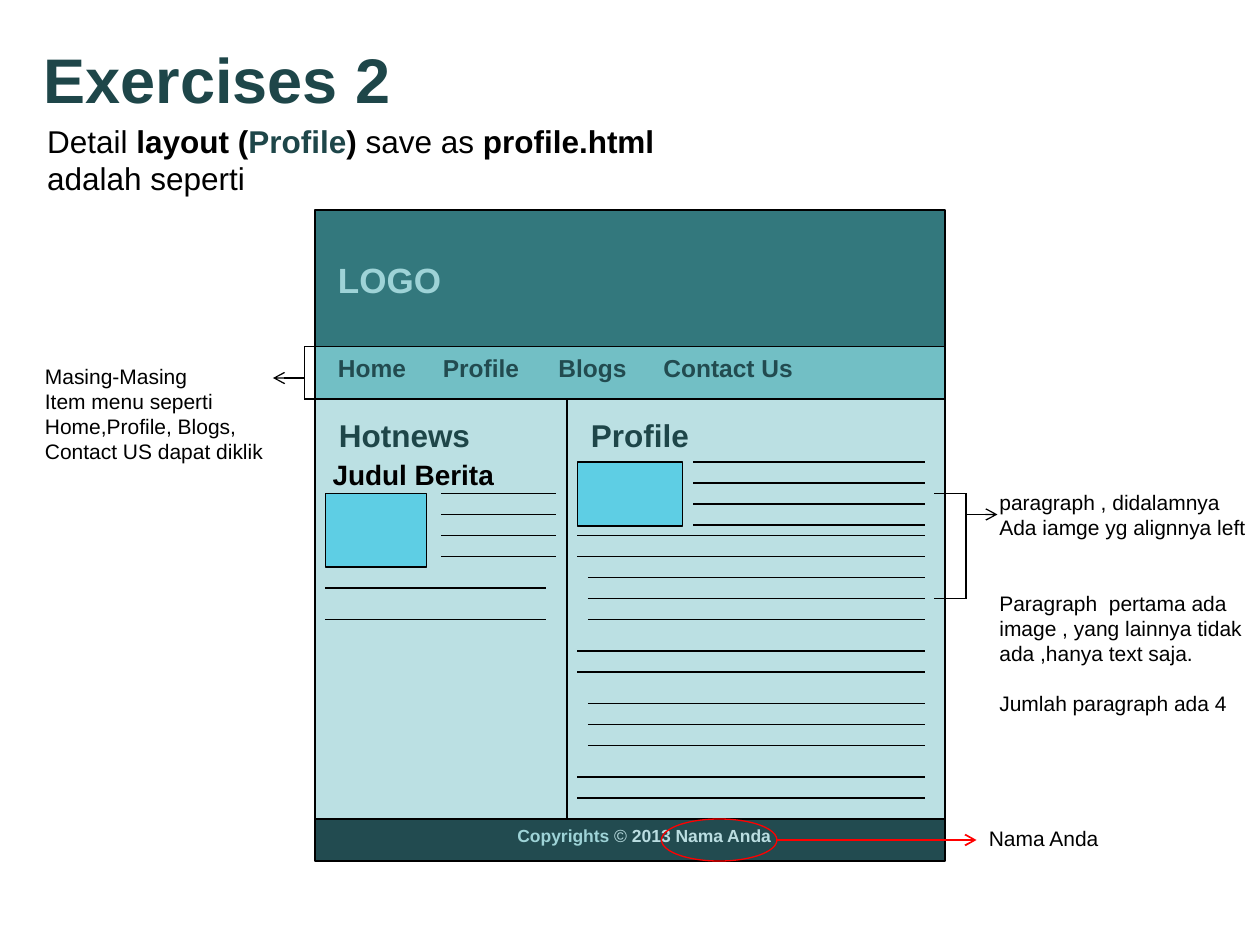
from dataclasses import dataclass

from lxml.etree import SubElement
from pptx import Presentation
from pptx.dml.color import RGBColor
from pptx.enum.shapes import MSO_CONNECTOR, MSO_SHAPE
from pptx.enum.text import MSO_ANCHOR
from pptx.oxml.ns import qn
from pptx.util import Pt

SCALE = 7620


@dataclass(frozen=True)
class Theme:
    """Colours, type sizes and line values of the slide."""
    font: str = "Arial"
    ink: str = "000000"
    title: str = "1E4649"
    dark: str = "224B50"
    head: str = "33787D"
    menu: str = "72BFC5"
    panel: str = "BBE0E3"
    photo: str = "5ECEE4"
    pale: str = "9ED3D7"
    light: str = "BADDE1"
    alert: str = "FF0000"
    huge: int = 36
    logo: int = 20
    large: int = 18
    story: int = 16
    link: int = 14
    note: int = 12
    small: int = 10
    pen: float = 0.75


THEME = Theme()


def px(*vals):
    """Turn pixel lengths into EMU."""
    return [val * SCALE for val in vals]


def shape(slide, box, fill=None, line=THEME.ink, kind=MSO_SHAPE.RECTANGLE):
    """Add an outlined preset shape, filled if a colour is given."""
    item = slide.shapes.add_shape(kind, *px(*box))
    item.shadow.inherit = False
    if fill:
        item.fill.solid()
        item.fill.fore_color.rgb = RGBColor.from_string(fill)
    else:
        item.fill.background()
    item.line.color.rgb = RGBColor.from_string(line)
    item.line.width = Pt(THEME.pen)


def rule(slide, start, end, color=THEME.ink, width=THEME.pen, arrow=False):
    """Add a straight line, with an arrowhead at its end on request."""
    item = slide.shapes.add_connector(MSO_CONNECTOR.STRAIGHT, *px(*start, *end))
    item.line.color.rgb = RGBColor.from_string(color)
    item.line.width = Pt(width)
    props = item._element.spPr
    if arrow:
        SubElement(props.find(qn("a:ln")), qn("a:tailEnd"), type="arrow")
    SubElement(props, qn("a:effectLst"))


def text(slide, box, paras, size, color=THEME.ink, bold=False, wrap=False,
         anchor=MSO_ANCHOR.TOP, gaps=None):
    """Add a text box; a paragraph is a string or a list of (words, look)."""
    frame = slide.shapes.add_textbox(*px(*box)).text_frame
    frame.word_wrap = wrap
    frame.vertical_anchor = anchor
    for num, runs in enumerate(paras):
        para = frame.add_paragraph() if num else frame.paragraphs[0]
        para.space_before = Pt((gaps or {}).get(num, 0))
        for words, look in [(runs, {})] if isinstance(runs, str) else runs:
            look = {"color": color, "bold": bold} | look
            run = para.add_run()
            run.text = words
            run.font.color.rgb = RGBColor.from_string(look.pop("color"))
            form = {"name": THEME.font, "size": Pt(size)} | look
            for key, val in form.items():
                setattr(run.font, key, val)


def rows(slide, left, top, spans):
    """Draw lines of mock text from (start, end, heights) spans."""
    for start, end, ys in spans:
        for y in ys:
            rule(slide, (left + start, top + y), (left + end, top + y))


def intro(slide, box):
    """Place the title and the task below it."""
    left, top, width, height = box
    strong = {"bold": True}
    text(slide, (left, top, width, height), ["Exercises 2"], THEME.huge,
         THEME.title, True, True, MSO_ANCHOR.MIDDLE)
    task = [("Detail ", {}), ("layout (", strong),
            ("Profile", strong | {"color": THEME.title}), (") ", strong),
            ("save as", {}), (" profile.html", strong)]
    text(slide, (left + 3, top + 110, 611, 84), [task, "adalah seperti"],
         THEME.large)


def header(slide, box):
    """Place the page header with its logo text."""
    left, top, *_ = box
    shape(slide, box, THEME.head)
    text(slide, (left + 10, top + 40, 124, 53), ["LOGO"], THEME.logo,
         THEME.pale, True)


def menu(slide, box):
    """Place the menu bar and its items."""
    left, top, *_ = box
    shape(slide, box, THEME.menu)
    items = [("Home", 10, 100), ("Profile", 110, 110), ("Blogs", 220, 100),
             ("Contact Us", 320, 160)]
    for name, x, width in items:
        text(slide, (left + x, top, width, 41), [name], THEME.link,
             THEME.dark, True, True)


def news(slide, box):
    """Place the news column."""
    left, top, *_ = box
    shape(slide, box, THEME.panel)
    shape(slide, (left + 10, top + 90, 96, 70), THEME.photo)
    text(slide, (left + 11, top + 10, 149, 48), ["Hotnews"], THEME.large,
         THEME.title, True)
    text(slide, (left + 5, top + 50, 178, 44), ["Judul Berita"], THEME.story,
         bold=True)
    rows(slide, left, top, [(120, 230, range(90, 151, 20)),
                            (10, 220, (180, 210))])


def profile(slide, box):
    """Place the profile column with its four paragraphs."""
    left, top, *_ = box
    shape(slide, box, THEME.panel)
    shape(slide, (left + 10, top + 60, 100, 61), THEME.photo)
    text(slide, (left + 11, top + 10, 118, 48), ["Profile"], THEME.large,
         THEME.title, True)
    spans = [(120, range(60, 121, 20)), (10, (130, 150)),
             (20, (170, 190, 210)), (10, (240, 260)),
             (20, (290, 310, 330)), (10, (360, 380))]
    rows(slide, left, top, [(start, 341, ys) for start, ys in spans])


def footer(slide, box):
    """Place the footer, its ringed name and the name label."""
    left, top, _, height = box
    shape(slide, box, THEME.dark)
    line = [("Copyrights ", {"color": THEME.pale}), ("© ", {"bold": False}),
            ("2013 Nama Anda", {})]
    text(slide, (left + 181, top, 267, 53), [line], THEME.small,
         THEME.light, True)
    shape(slide, (left + 330, top, 110, height), line=THEME.alert,
          kind=MSO_SHAPE.OVAL)
    mid = top + height // 2
    rule(slide, (left + 440, mid), (left + 630, mid), THEME.alert, 1, True)
    text(slide, (left + 630, top, 130, 36), ["Nama Anda"], THEME.note)


def brace(slide, box, drop, reach):
    """Draw a square bracket and an arrow leaving its spine."""
    left, top, width, height = box
    spine, base = left + width, top + height
    for y in (top, base):
        rule(slide, (left, y), (spine, y))
    rule(slide, (spine, top), (spine, base))
    rule(slide, (spine, top + drop), (spine + reach, top + drop), arrow=True)


def notes(slide):
    """Place the remarks beside the page with their brackets."""
    brace(slide, (300, 330, -10, 50), 30, -30)
    text(slide, (31, 340, 232, 108),
         ["Masing-Masing", "Item menu seperti", "Home,Profile, Blogs,",
          "Contact US dapat diklik"], THEME.note)
    brace(slide, (890, 470, 30, 100), 20, 30)
    text(slide, (940, 460, 290, 252),
         ["paragraph , didalamnya", "Ada iamge yg alignnya left",
          "Paragraph  pertama ada image , yang lainnya tidak ada ,hanya text saja.",
          "Jumlah paragraph ada 4"], THEME.note, wrap=True,
         gaps={2: 29, 3: 14})


def main():
    """Build the slide and save it."""
    deck = Presentation()
    deck.slide_width, deck.slide_height = px(1200, 900)
    slide = deck.slides.add_slide(deck.slide_layouts[6])
    intro(slide, (30, 0, 1080, 150))
    header(slide, (300, 200, 600, 130))
    menu(slide, (300, 330, 600, 50))
    news(slide, (300, 380, 240, 400))
    profile(slide, (540, 380, 360, 400))
    footer(slide, (300, 780, 600, 40))
    notes(slide)
    deck.save("out.pptx")


if __name__ == "__main__":
    main()
